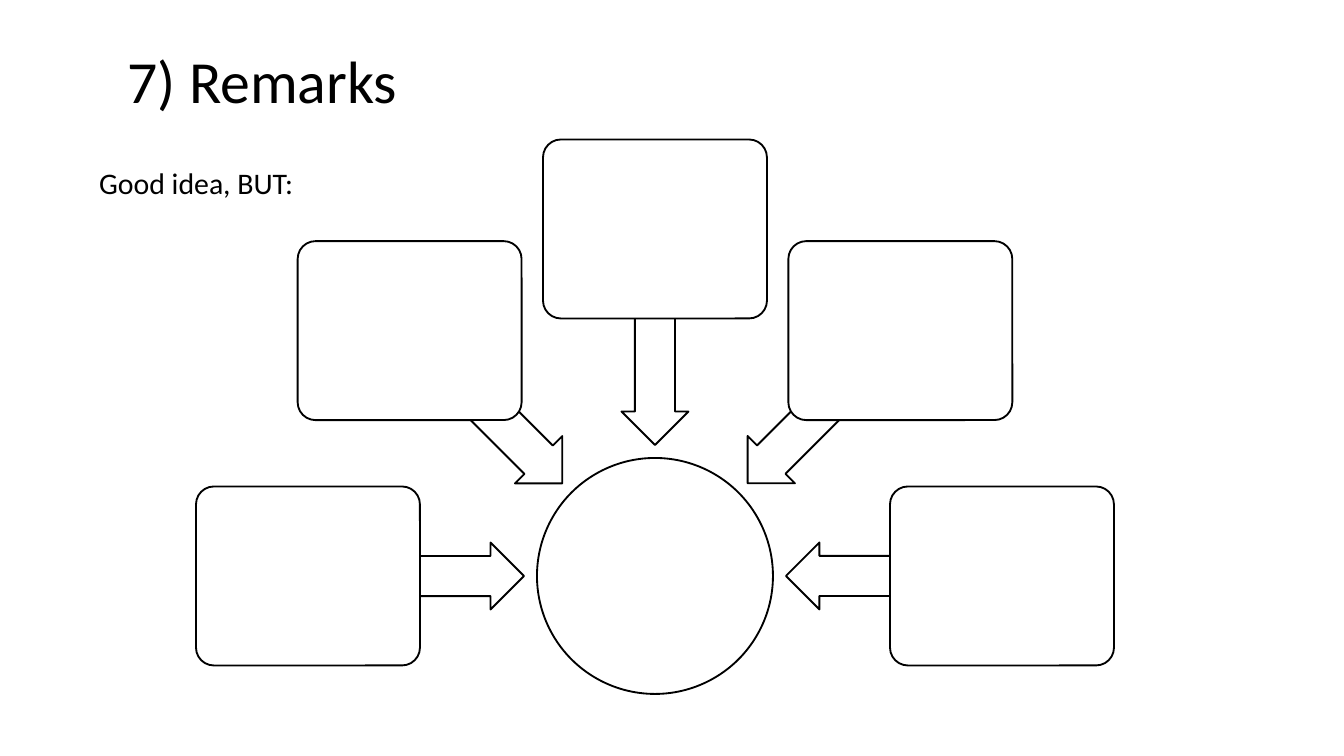
import math
from pptx import Presentation, util as u
from pptx.dml.color import RGBColor
from pptx.enum import shapes, text

BLACK = RGBColor(0x00, 0x00, 0x00)
WHITE = RGBColor(0xFF, 0xFF, 0xFF)
PX = 914400 / 134.4


def px(length):
    return u.Emu(round(length * PX))


def add_centred(kind, x, y, width, height):
    shape = page.shapes.add_shape(
        kind, px(x - width / 2), px(y - height / 2), px(width), px(height))
    shape.shadow.inherit = False
    shape.fill.solid()
    shape.fill.fore_color.rgb = WHITE
    shape.line.color.rgb = BLACK
    shape.line.width = u.Pt(1)
    return shape


deck = Presentation()
deck.slide_width, deck.slide_height = px(1344), px(756)
page = deck.slides.add_slide(deck.slide_layouts[6])

# Title and lead-in
texts = [
    ("7) Remarks", (114, 28, 1189, 113), 32, 0.9, 0, text.MSO_ANCHOR.MIDDLE),
    ("Good idea, BUT:", (86, 140, 391, 102), 16, 1.5, 7.5, text.MSO_ANCHOR.TOP),
]
for words, area, size, spacing, before, anchor in texts:
    frame = page.shapes.add_textbox(*map(px, area)).text_frame
    frame.word_wrap = True
    frame.vertical_anchor = anchor
    para = frame.paragraphs[0]
    para.line_spacing = spacing
    para.space_before = u.Pt(before)
    span = para.add_run()
    span.text = words
    span.font.name = "Calibri"
    span.font.size = u.Pt(size)
    span.font.color.rgb = BLACK

# Hub
hub_x, hub_y = 655, 576
arrow_radius, box_radius = 239, 347
add_centred(shapes.MSO_SHAPE.OVAL, hub_x, hub_y, 236, 236)

# Boxes on a half circle, each with an arrow to the hub
for angle in range(180, 361, 45):
    dx, dy = math.cos(math.radians(angle)), math.sin(math.radians(angle))
    arrow = add_centred(shapes.MSO_SHAPE.LEFT_ARROW, hub_x + arrow_radius * dx,
                        hub_y + arrow_radius * dy, 216, 67)
    arrow.adjustments[0] = 0.6
    arrow.adjustments[1] = 0.5
    arrow.rotation = angle % 360
    box = add_centred(shapes.MSO_SHAPE.ROUNDED_RECTANGLE, hub_x + box_radius * dx,
                      hub_y + box_radius * dy, 224, 179)
    box.adjustments[0] = 0.1

deck.save("out.pptx")
